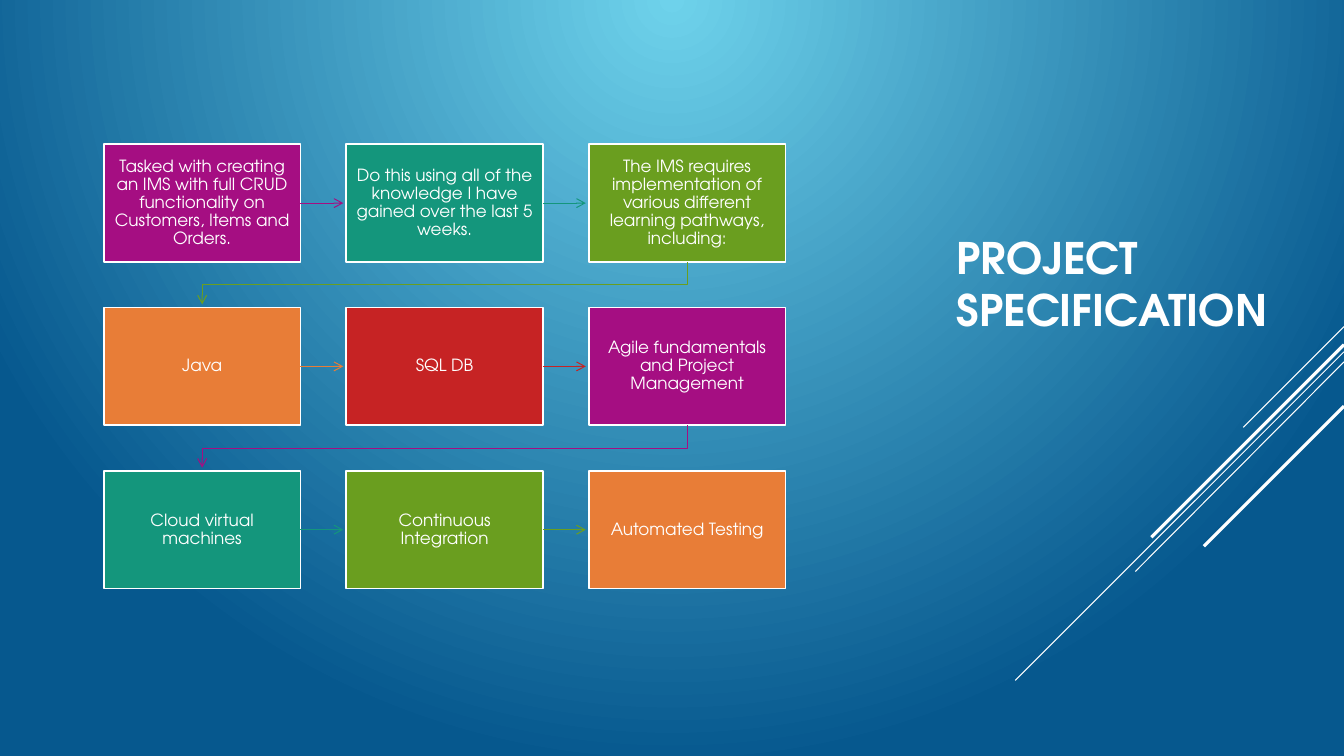
import pptx
import pptx.util
import pptx.dml.color
import pptx.enum.shapes
import pptx.enum.text
import pptx.oxml
import pptx.oxml.ns
import lxml.etree

Inches, Pt = pptx.util.Inches, pptx.util.Pt
FONT = "TeX Gyre Adventor"
COLOURS = {
    "glow": "6ED2EB", "deep": "06588E", "white": "FFFFFF",
    "purple": "A50E82", "teal": "14967C", "green": "6A9E1F",
    "orange": "E87D37", "red": "C62324",
}
TITLE = "PROJECT SPECIFICATION"
STEPS = [
    ("Tasked with creating an IMS with full CRUD functionality on Customers, Items and Orders.", "purple"),
    ("Do this using all of the knowledge I have gained over the last 5 weeks.", "teal"),
    ("The IMS requires implementation of various different learning pathways, including:", "green"),
    ("Java", "orange"),
    ("SQL DB", "red"),
    ("Agile fundamentals and Project Management", "purple"),
    ("Cloud virtual machines", "teal"),
    ("Continuous Integration", "green"),
    ("Automated Testing", "orange"),
]
# Diagonals: start height at the right edge, horizontal and vertical run, width
RIGHT_EDGE = 13.33
DIAGONALS = [
    (3.24, 1.00, 1.00, 0.75),
    (3.49, 3.26, 3.26, 0.75),
    (3.59, 2.07, 2.08, 0.75),
    (3.42, 1.91, 1.91, 2.25),
    (4.03, 1.39, 1.39, 2.25),
]
# Step grid
COLS = 3
LEFT, TOP = 1.03, 1.43
BOX_W, BOX_H = 1.95, 1.17
PITCH_X, PITCH_Y = (5.84 - LEFT) / 2, 1.62
ARROW_GAP = 0.03


def rgb(name):
    return pptx.dml.color.RGBColor.from_string(COLOURS[name])


def style_line(shape, colour, width):
    shape.line.color.rgb = rgb(colour)
    shape.line.width = Pt(width)


def add_arrowhead(shape):
    ln = shape.line._get_or_add_ln()
    tail = lxml.etree.SubElement(ln, pptx.oxml.ns.qn("a:tailEnd"))
    tail.set("type", "arrow")


def add_line(x1, y1, x2, y2, colour, width):
    line = slide.shapes.add_connector(
        pptx.enum.shapes.MSO_CONNECTOR.STRAIGHT,
        Inches(x1), Inches(y1), Inches(x2), Inches(y2))
    style_line(line, colour, width)
    lxml.etree.SubElement(line._element.spPr, pptx.oxml.ns.qn("a:effectLst"))
    return line


def write_text(shape, text, size, bold=False):
    tf = shape.text_frame
    tf.word_wrap = True
    tf.vertical_anchor = pptx.enum.text.MSO_ANCHOR.MIDDLE
    p = tf.paragraphs[0]
    p.text = text
    p.font.name, p.font.size, p.font.bold = FONT, Pt(size), bold
    p.font.color.rgb = rgb("white")
    return tf, p


prs = pptx.Presentation()
prs.slide_width, prs.slide_height = Inches(13.33), Inches(7.5)
slide = prs.slides.add_slide(prs.slide_layouts[6])

# Background glow from the top centre
fill = slide.background.fill
fill.gradient()
for stop, name in zip(fill.gradient_stops, ("glow", "deep")):
    stop.color.rgb = rgb(name)
lin = slide.background._cSld.find(".//" + pptx.oxml.ns.qn("a:lin"))
lin.getparent().replace(lin, pptx.oxml.parse_xml(
    '<a:path xmlns:a="http://schemas.openxmlformats.org/drawingml/2006/main" path="circle">'
    '<a:fillToRect l="0" t="0" r="0" b="100000"/></a:path>'))

# Diagonal lines
for y, dx, dy, width in DIAGONALS:
    add_line(RIGHT_EDGE, y, RIGHT_EDGE - dx, y + dy, "white", width)

# Title
title = slide.shapes.add_textbox(Inches(9.39), Inches(1.03), Inches(3.33), Inches(3.55))
write_text(title, TITLE, 31, bold=True)

# Steps, each with an arrow to the next one
for i, (text, colour) in enumerate(STEPS):
    row, col = divmod(i, COLS)
    x, y = LEFT + col * PITCH_X, TOP + row * PITCH_Y
    box = slide.shapes.add_shape(
        pptx.enum.shapes.MSO_SHAPE.RECTANGLE,
        Inches(x), Inches(y), Inches(BOX_W), Inches(BOX_H))
    box.shadow.inherit = False
    box.fill.solid()
    box.fill.fore_color.rgb = rgb(colour)
    style_line(box, "white", 1.25)
    tf, p = write_text(box, text, 12)
    tf.margin_left = tf.margin_right = tf.margin_top = tf.margin_bottom = Inches(0.1)
    p.alignment = pptx.enum.text.PP_ALIGN.CENTER
    p.line_spacing = 0.9

    if i == len(STEPS) - 1:
        continue
    if col < COLS - 1:
        mid_y = y + BOX_H / 2
        arrow = add_line(x + BOX_W, mid_y, x + PITCH_X - ARROW_GAP, mid_y, colour, 0.75)
        arrow.begin_connect(box, 3)
    else:
        start_x, end_x = x + BOX_W / 2, LEFT + BOX_W / 2
        bottom, next_top = y + BOX_H, y + PITCH_Y
        turn_y = (bottom + next_top) / 2
        bends = [(start_x, turn_y), (end_x, turn_y), (end_x, next_top - ARROW_GAP)]
        fb = slide.shapes.build_freeform(Inches(start_x), Inches(bottom))
        fb.add_line_segments([(Inches(a), Inches(b)) for a, b in bends], close=False)
        arrow = fb.convert_to_shape()
        arrow.shadow.inherit = False
        arrow.fill.background()
        style_line(arrow, colour, 0.75)
    add_arrowhead(arrow)

prs.save("out.pptx")
